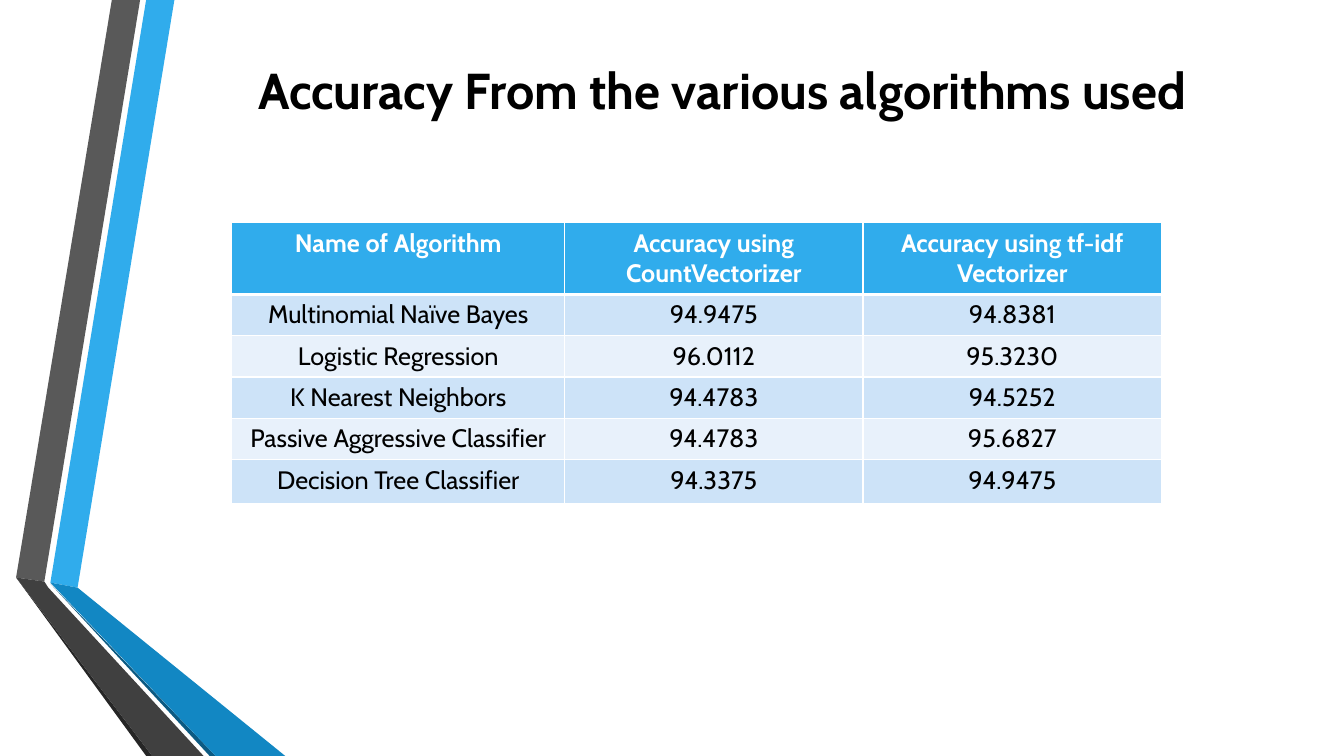
from lxml import etree
from pptx import Presentation
from pptx import oxml
from pptx.dml.color import RGBColor
from pptx.enum import text as t
from pptx.oxml import ns
from pptx.util import Inches, Pt

FONT = "Cabin"
COLORS = {
    "black": "000000",
    "white": "FFFFFF",
    "blue": "30ACEC",
    "mid_blue": "1287C3",
    "deep_blue": "0C5A82",
    "gray": "595959",
    "dark_gray": "404040",
    "shadow_gray": "262626",
    "odd_row": "CDE3F8",
    "even_row": "E8F1FB",
}

RIBBONS = [
    ("blue", [(0.5, 5.78), (0.77, 5.83), (1.73, 0), (1.45, 0)]),
    ("gray", [(1.39, 0), (1.11, 0), (0.16, 5.73), (0.44, 5.77)]),
    ("shadow_gray", [(0.16, 5.73), (1.45, 7.5), (1.51, 7.5)]),
    ("deep_blue", [(0.5, 5.79), (2.08, 7.5), (2.14, 7.5)]),
    ("mid_blue", [(0.5, 5.78), (2.14, 7.5), (2.83, 7.5), (0.77, 5.83)]),
    ("dark_gray", [(2.02, 7.5), (0.48, 5.83), (0.44, 5.77), (0.16, 5.73), (1.51, 7.5)]),
]

COLUMN_WIDTHS = [3.3, 2.96, 2.96]
ROW_HEIGHTS = [0.7, 0.41, 0.41, 0.41, 0.41, 0.44]
ACCURACY = [
    ("Name of Algorithm", "Accuracy using CountVectorizer", "Accuracy using tf-idf Vectorizer"),
    ("Multinomial Naïve Bayes", "94.9475", "94.8381"),
    ("Logistic Regression", "96.0112", "95.3230"),
    ("K Nearest Neighbors", "94.4783", "94.5252"),
    ("Passive Aggressive Classifier", "94.4783", "95.6827"),
    ("Decision Tree Classifier", "94.3375", "94.9475"),
]


def rgb(name):
    return RGBColor.from_string(COLORS[name])


def write_text(frame, words, size=18, color="black", bold=False, align=t.PP_ALIGN.CENTER):
    paragraph = frame.paragraphs[0]
    paragraph.alignment = align
    run = paragraph.add_run()
    run.text = words
    run.font.name = FONT
    run.font.size = Pt(size)
    run.font.bold = bold
    run.font.color.rgb = rgb(color)


def add_ribbon(slide, color, points):
    corners = [(Inches(x), Inches(y)) for x, y in points]
    builder = slide.shapes.build_freeform(*corners[0])
    builder.add_line_segments(corners[1:], close=True)
    shape = builder.convert_to_shape()
    shape.shadow.inherit = False
    shape.fill.solid()
    shape.fill.fore_color.rgb = rgb(color)
    shape.line.fill.background()


def set_title(slide, words):
    title = slide.shapes.title
    title.left, title.top = Inches(2.46), Inches(0.54)
    title.width, title.height = Inches(9.53), Inches(0.71)
    frame = title.text_frame
    frame.word_wrap = False
    frame.auto_size = t.MSO_AUTO_SIZE.NONE
    frame.vertical_anchor = t.MSO_ANCHOR.TOP
    write_text(frame, words, size=36, bold=True, align=t.PP_ALIGN.LEFT)


def set_borders(cell, top, bottom):
    """Draw white cell borders; top and bottom are widths in points."""
    properties = cell._tc.get_or_add_tcPr()
    widths = {"lnL": 1, "lnR": 1, "lnT": top, "lnB": bottom}
    for index, (side, width) in enumerate(widths.items()):
        line = oxml.parse_xml(f'<a:{side} {ns.nsdecls("a")} w="{Pt(width)}"/>')
        fill = etree.SubElement(line, ns.qn("a:solidFill"))
        etree.SubElement(fill, ns.qn("a:srgbClr"), val=COLORS["white"])
        properties.insert(index, line)


def add_accuracy_table(slide):
    frame = slide.shapes.add_table(
        len(ACCURACY), len(COLUMN_WIDTHS), Inches(2.3), Inches(2.21),
        Inches(sum(COLUMN_WIDTHS)), Inches(sum(ROW_HEIGHTS)))
    table = frame.table
    for column, width in zip(table.columns, COLUMN_WIDTHS):
        column.width = Inches(width)
    for index, (row, height, values) in enumerate(zip(table.rows, ROW_HEIGHTS, ACCURACY)):
        row.height = Inches(height)
        header = index == 0
        fill = "blue" if header else "odd_row" if index % 2 else "even_row"
        for cell, value in zip(row.cells, values):
            cell.fill.solid()
            cell.fill.fore_color.rgb = rgb(fill)
            set_borders(cell, top=3 if index == 1 else 1, bottom=3 if header else 1)
            write_text(cell.text_frame, value, color="white" if header else "black", bold=header)


def main():
    presentation = Presentation()
    presentation.slide_width = Inches(13.33)
    presentation.slide_height = Inches(7.5)
    slide = presentation.slides.add_slide(presentation.slide_layouts.get_by_name("Title Only"))
    for color, points in RIBBONS:
        add_ribbon(slide, color, points)
    add_accuracy_table(slide)
    set_title(slide, "Accuracy From the various algorithms used")
    presentation.save("out.pptx")


if __name__ == "__main__":
    main()
